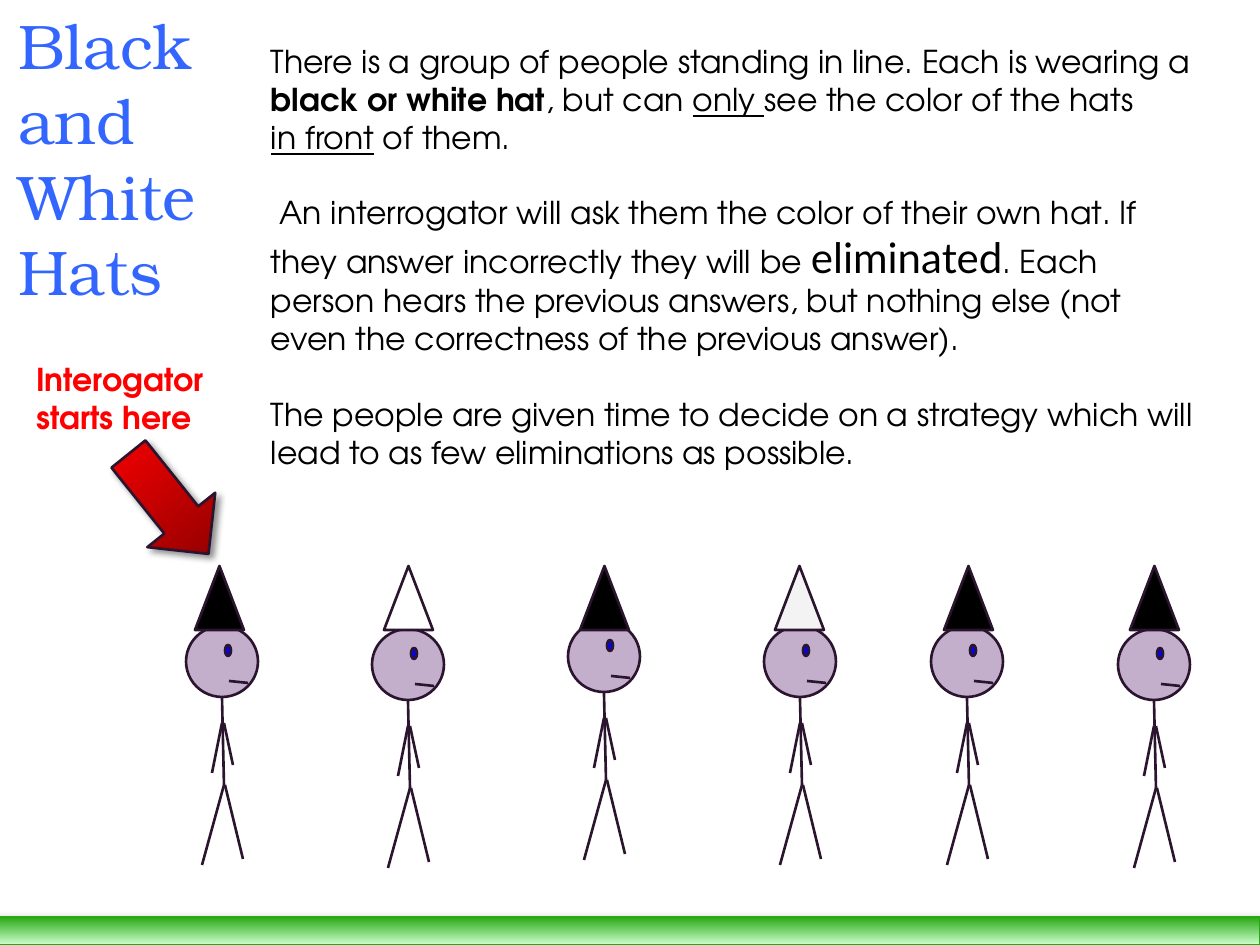
from lxml.etree import SubElement
from pptx import Presentation
from pptx.dml.color import RGBColor
from pptx.enum.shapes import MSO_CONNECTOR, MSO_SHAPE as SHAPE
from pptx.oxml.ns import qn
from pptx.util import Emu, Pt

THEME = dict(
    ink="2B142D", skin="C3AFCC", eye="0000FF", title="3366FF", body="000000",
    alert="FF0000", alert_dark="800000", grass="29A815", grass_light="CCFFCC",
    black="000000", white="FFFFFF", pale="F3F3F3", gray="808080",
    sans="TeX Gyre Adventor", serif="TeX Gyre Bonum", accent="Lato",
    title_pt=36, body_pt=18, accent_pt=24, gap_pt=21.6, line_pt=1.5,
)

# Content: paragraphs of (text, style); a style of "break" is a line break
TITLE = "Black and White Hats"
LABEL = "Interogator starts here"
BODY = [
    [("There is a group of people standing in line. Each is wearing a ", ""),
     ("black or white hat", "bold"), (", but can ", ""), ("only ", "underline"),
     ("see the color of the hats ", ""), ("", "break"),
     ("in front", "underline"), (" of them.", "")],
    [(" An interrogator will ask them the color of their own hat. If they answer "
      "incorrectly they will be ", ""), ("eliminated", "accent"),
     (". Each person hears the previous answers, but nothing else (not even the "
      "correctness of the previous answer).", "")],
    [("The people are given time to decide on a strategy which will lead to as few "
      "eliminations as possible.", "")],
]
# Head left, head top, hat left, hat colour
PEOPLE = [(186, 626, 195, "black"), (372, 629, 384, "white"), (568, 621, 580, "black"),
          (764, 626, 775, "pale"), (931, 626, 944, "black"), (1118, 629, 1130, "black")]
HAT_TOP, HAT_SIZE, HEAD_SIZE = 566, (49, 64), (72, 71)
# Offsets from the head's top left corner: spine, legs, arms
STROKES = [(36, 71, 38, 159), (39, 159, 57, 233), (38, 159, 16, 239),
           (36, 97, 26, 147), (38, 97, 47, 139)]
EYE = (39, 19, 6, 11)
MOUTH = [(62, 57), (43, 55)]

SCALE = 914400 / 126


def px(n):
    return Emu(round(n * SCALE))


def rgb(name):
    return RGBColor.from_string(THEME[name])


def set_line(shape, color="ink", width=THEME["line_pt"]):
    shape.line.color.rgb = rgb(color)
    shape.line.width = Pt(width)


def add_shape(s, kind, box, fill):
    sp = s.shapes.add_shape(kind, *map(px, box))
    sp.shadow.inherit = False
    if fill:
        sp.fill.solid()
        sp.fill.fore_color.rgb = rgb(fill)
    set_line(sp)
    return sp


def add_stroke(s, x1, y1, x2, y2):
    cx = s.shapes.add_connector(MSO_CONNECTOR.STRAIGHT, *map(px, (x1, y1, x2, y2)))
    set_line(cx)
    SubElement(cx._element.spPr, qn("a:effectLst"))


def set_gradient(sp, start, end):
    sp.fill.gradient()
    sp.fill.gradient_angle = 270
    for stop, color, position in zip(sp.fill.gradient_stops, (start, end), (0, 1)):
        stop.color.rgb = rgb(color)
        stop.position = position


def set_shadow(sp, color, alpha, blur, dist, angle):
    effects = sp._element.spPr.find(qn("a:effectLst"))
    shadow = SubElement(effects, qn("a:outerShdw"), blurRad=str(Pt(blur)),
                        dist=str(Pt(dist)), dir=str(angle * 60000),
                        algn="bl", rotWithShape="0")
    clr = SubElement(shadow, qn("a:srgbClr"), val=THEME[color])
    SubElement(clr, qn("a:alpha"), val=str(alpha * 1000))


def add_text(s, box, paragraphs, font, size, color, bold=False, inset=None):
    tf = s.shapes.add_textbox(*map(px, box)).text_frame
    tf.word_wrap = True
    if inset:
        tf.margin_left = tf.margin_right = tf.margin_top = tf.margin_bottom = px(inset)
    for i, runs in enumerate(paragraphs):
        p = tf.paragraphs[0] if i == 0 else tf.add_paragraph()
        if i:
            p.space_before = Pt(THEME["gap_pt"])
        p.font.name, p.font.size, p.font.bold = THEME[font], Pt(THEME[size]), bold
        p.font.color.rgb = rgb(color)
        for text, style in runs:
            if style == "break":
                p.add_line_break()
                continue
            r = p.add_run()
            r.text = text
            if style == "bold":
                r.font.bold = True
            elif style == "underline":
                r.font.underline = True
            elif style == "accent":
                r.font.name, r.font.size = THEME["accent"], Pt(THEME["accent_pt"])


def add_person(s, x, y):
    add_shape(s, SHAPE.OVAL, (x, y, *HEAD_SIZE), "skin")
    for x1, y1, x2, y2 in STROKES:
        add_stroke(s, x + x1, y + y1, x + x2, y + y2)
    ex, ey, ew, eh = EYE
    add_shape(s, SHAPE.OVAL, (x + ex, y + ey, ew, eh), "eye")
    start, end = [(x + mx, y + my) for mx, my in MOUTH]
    fb = s.shapes.build_freeform(*start, scale=SCALE)
    fb.add_line_segments([end], close=False)
    mouth = fb.convert_to_shape()
    mouth.shadow.inherit = False
    mouth.fill.background()
    set_line(mouth)


def main():
    prs = Presentation()
    prs.slide_width, prs.slide_height = px(1260), px(945)
    s = prs.slides.add_slide(prs.slide_layouts[6])

    # People in line, then their hats
    for x, y, _, _ in PEOPLE:
        add_person(s, x, y)
    for _, _, hat_x, color in PEOPLE:
        add_shape(s, SHAPE.ISOSCELES_TRIANGLE, (hat_x, HAT_TOP, *HAT_SIZE), color)

    # Arrow to the first person
    arrow = add_shape(s, SHAPE.DOWN_ARROW, (125, 440, 87, 128), None)
    arrow.rotation = 321.3
    set_gradient(arrow, "alert", "alert_dark")
    set_shadow(arrow, "black", 43, 4, 3, 45)

    # Texts
    add_text(s, (23, 347, 208, 73), [[(LABEL, "")]], "sans", "body_pt", "alert",
             bold=True, inset=13)
    add_text(s, (258, 29, 958, 369), BODY, "sans", "body_pt", "body", inset=13)
    add_text(s, (6, 0, 243, 318), [[(TITLE, "")]], "serif", "title_pt", "title")

    # Grass strip
    grass = add_shape(s, SHAPE.RECTANGLE, (-24, 917, 1284, 28), None)
    set_gradient(grass, "grass", "grass_light")
    set_line(grass, "grass", 1)
    set_shadow(grass, "gray", 75, 5, 2, 90)

    prs.save("out.pptx")


if __name__ == "__main__":
    main()
